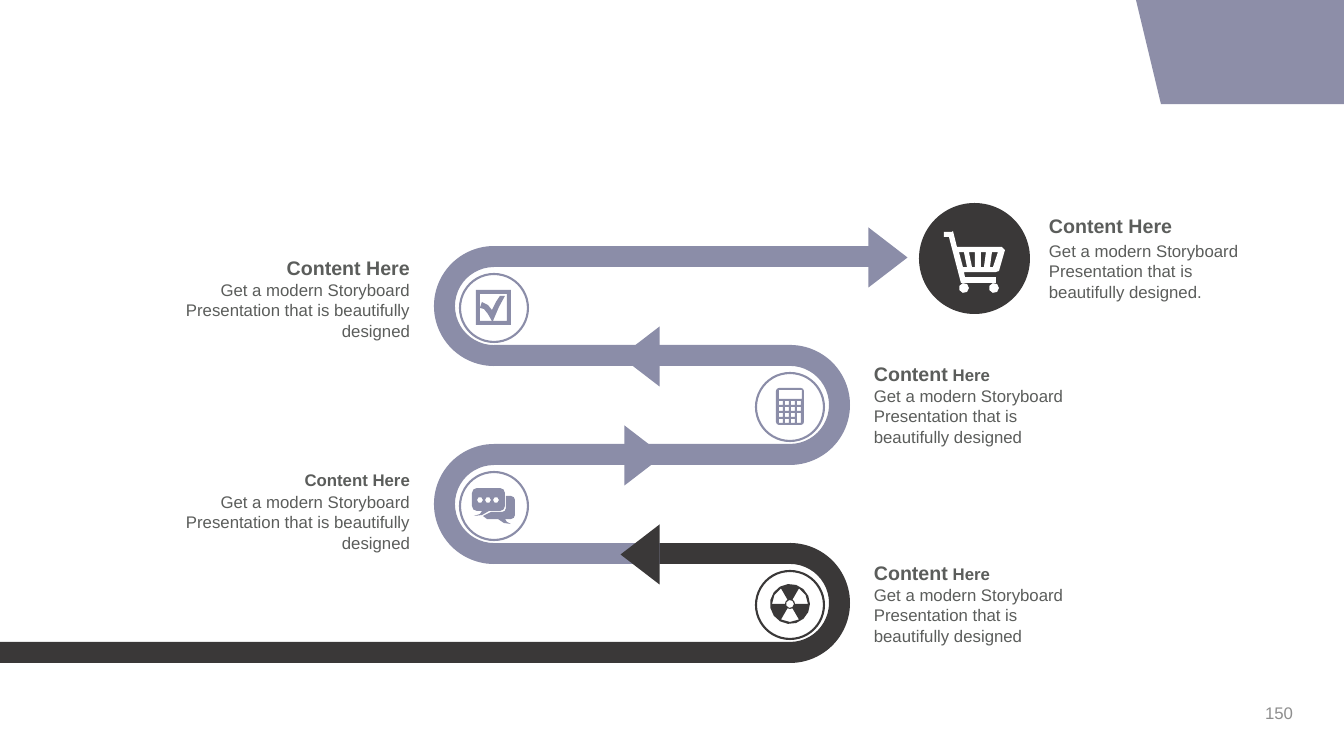
import math

import pptx
import pptx.dml.color
import pptx.enum.shapes
import pptx.enum.text
import pptx.util

PX = 914400 / 100.8
SHAPE = pptx.enum.shapes.MSO_SHAPE
ALIGN = pptx.enum.text.PP_ALIGN
ANCHOR = pptx.enum.text.MSO_ANCHOR
COLORS = {"corner": "8D8EA8", "purple": "8B8DA8", "dark": "3A3838",
          "text": "5B5D5B", "number": "8E8E8E", "white": "FFFFFF"}
BODY = "Get a modern Storyboard Presentation that is beautifully designed"
ROAD_TOP, ROW_PITCH, BAR, BEND = 246, 99, 21, 120
LEFT_END, RIGHT_END = 494, 790


def emu(n):
    return pptx.util.Emu(round(n * PX))


def rgb(name):
    return pptx.dml.color.RGBColor.from_string(COLORS[name])


def paint(sp, fill=None, line=None):
    sp.shadow.inherit = False
    if fill:
        sp.fill.solid()
        sp.fill.fore_color.rgb = rgb(fill)
    else:
        sp.fill.background()
    if line:
        sp.line.color.rgb = rgb(line)
        sp.line.width = pptx.util.Pt(1.5)
    else:
        sp.line.fill.background()


def add_preset(s, kind, x, y, w, h, fill=None, line=None):
    sp = s.shapes.add_shape(kind, emu(x), emu(y), emu(w), emu(h))
    paint(sp, fill, line)
    return sp


def add_outline(s, x, y, contours, fill):
    contours = [[(emu(x + a), emu(y + b)) for a, b in c] for c in contours]
    builder = s.shapes.build_freeform(*contours[0][0], scale=1.0)
    for i, points in enumerate(contours):
        if i:
            builder.move_to(*points[0])
        builder.add_line_segments(points[1:], close=True)
    paint(builder.convert_to_shape(), fill)


def arc(cx, cy, r, start, end):
    steps = max(2, round(abs(end - start) * math.sqrt(r) / 110))
    angles = [math.radians(start + (end - start) * i / steps) for i in range(steps + 1)]
    return [(cx + r * math.cos(a), cy + r * math.sin(a)) for a in angles]


def disc(cx, cy, r):
    return arc(cx, cy, r, 0, 360)[:-1]


def box(x, y, w, h):
    return [(x, y), (x + w, y), (x + w, y + h), (x, y + h)]


def rounded(x, y, w, h, r):
    return (arc(x + r, y + r, r, 180, 270) + arc(x + w - r, y + r, r, 270, 360)
            + arc(x + w - r, y + h - r, r, 0, 90) + arc(x + r, y + h - r, r, 90, 180))


def cart_icon(s, x, y, fill):
    slots = [[(48, 21), (46, 36), (49, 36), (54, 21)],
             [(37, 21), (37, 36), (40, 36), (42, 21)],
             [(25, 21), (28, 36), (31, 36), (31, 21)],
             [(15, 21), (19, 36), (23, 36), (20, 21)]]
    body = [(9, 0), (13, 16), (58, 16), (61, 19), (55, 40), (52, 41), (20, 41), (21, 46),
            (52, 46), (52, 52), (17, 52), (5, 6), (0, 6), (0, 1), (8, 1)]
    add_outline(s, x, y, [body, *slots, disc(20, 57, 5), disc(50, 57, 5)], fill)


def check_icon(s, x, y, fill):
    inside = [(4, 4), (4, 31), (16, 31), (12, 24), (8, 19), (4, 18), (6, 12), (12, 15),
              (16, 20), (20, 12), (24, 6), (29, 6), (23, 17), (17, 31), (31, 31), (31, 4)]
    add_outline(s, x, y, [box(0, 0, 35, 35), inside], fill)


def calculator_icon(s, x, y, fill):
    keys = [box(3 + 6 * col, 13 + 6 * row, 4, 10 if (row, col) == (2, 3) else 4)
            for row in range(4) for col in range(4) if (row, col) != (3, 3)]
    add_outline(s, x, y, [rounded(0, 0, 28, 37, 3), box(3, 2, 23, 9), *keys], fill)


def chat_icon(s, x, y, fill):
    front = (arc(5, 5, 5, 180, 270) + arc(28, 5, 5, 270, 360) + arc(28, 18, 5, 0, 90)
             + [(17, 23), (10, 27), (2, 28), (8, 26), (10, 23)] + arc(5, 18, 5, 90, 180))
    back = ([(34, 8)] + arc(39, 12, 4, 270, 360) + arc(39, 27, 4, 0, 90)
            + [(33, 31), (35, 34), (39, 36), (32, 35), (26, 31), (15, 31), (11, 28), (19, 24)]
            + arc(30, 20, 4, 90, 0))
    dots = [disc(8 + 8 * i, 12, 3) for i in range(3)]
    add_outline(s, x, y, [front, back, *dots], fill)


def radiation_icon(s, x, y, fill):
    gaps = [arc(20, 20, 18, a, a + 60) + arc(20, 20, 5, a + 60, a) for a in (60, 180, 300)]
    add_outline(s, x, y, [disc(20, 20, 20), disc(20, 20, 4), *gaps], fill)


def add_bend(s, cx, y, rotation, fill):
    sp = add_preset(s, SHAPE.BLOCK_ARC, cx - BEND // 2, y, BEND, BEND, fill)
    sp.adjustments[2] = BAR / BEND
    sp.rotation = rotation


def add_road(s):
    bars = [(0, LEFT_END, 875, "purple"), (1, LEFT_END, RIGHT_END, "purple"),
            (2, LEFT_END, RIGHT_END, "purple"), (3, LEFT_END, 660, "purple"),
            (3, 660, RIGHT_END, "dark"), (4, 0, RIGHT_END, "dark")]
    for row, x0, x1, fill in bars:
        add_preset(s, SHAPE.RECTANGLE, x0, ROAD_TOP + ROW_PITCH * row, x1 - x0, BAR, fill)
    stops = [(888, 90, "purple", check_icon, 16, 16),
             (640, 270, "purple", calculator_icon, 20, 15),
             (644, 90, "purple", chat_icon, 12, 16),
             (640, 270, "dark", radiation_icon, 14, 13)]
    for row, (tip_x, rotation, fill, icon, dx, dy) in enumerate(stops):
        top = ROAD_TOP + ROW_PITCH * row
        cx = RIGHT_END if row % 2 else LEFT_END
        add_bend(s, cx, top, 90 if row % 2 else 270, fill)
        head = add_preset(s, SHAPE.ISOSCELES_TRIANGLE, tip_x - 30, top - 8, 60, 39, fill)
        head.rotation = rotation
        x, y = cx - 34, top + 28
        add_preset(s, SHAPE.OVAL, x, y, 68, 68, line=fill)
        icon(s, x + dx, y + dy, fill)


def add_goal(s, x, y, size):
    add_preset(s, SHAPE.OVAL, x, y, size, size, "dark")
    cart_icon(s, x + 25, y + 28, "white")


def add_text(s, x, y, w, h, runs, align=ALIGN.LEFT, anchor=ANCHOR.TOP, bold=False, color="text"):
    tf = s.shapes.add_textbox(emu(x), emu(y), emu(w), emu(h)).text_frame
    tf.word_wrap = True
    tf.vertical_anchor = anchor
    p = tf.paragraphs[0]
    p.alignment = align
    p.font.name = "Arial"
    p.font.bold = bold
    p.font.color.rgb = rgb(color)
    for text, size in runs:
        r = p.add_run()
        r.text = text
        r.font.size = pptx.util.Pt(size)


def add_caption(s, x, y, w, heading, align=ALIGN.LEFT, body=BODY, gap=24):
    add_text(s, x, y, w, 34, heading, align, ANCHOR.MIDDLE, bold=True)
    add_text(s, x, y + gap, w, 72, [(body, 12)], align)


def build_slide(prs):
    s = prs.slides.add_slide(prs.slide_layouts[6])
    add_outline(s, 1136, 0, [[(0, 0), (208, 0), (208, 104), (25, 104)]], "corner")
    add_text(s, 1001, 701, 302, 24, [("150", 12)], ALIGN.RIGHT, ANCHOR.MIDDLE, color="number")
    add_road(s)
    add_goal(s, 919, 203, 111)
    large, small = [("Content Here", 14)], [("Content Here", 12)]
    mixed = [("Content", 14), (" Here", 12)]
    add_caption(s, 156, 251, 264, large, ALIGN.RIGHT)
    add_caption(s, 156, 463, 264, small, ALIGN.RIGHT)
    add_caption(s, 864, 357, 230, mixed)
    add_caption(s, 864, 556, 230, mixed)
    add_caption(s, 1039, 209, 236, large, body=BODY + ".", gap=27)


def main():
    prs = pptx.Presentation()
    prs.slide_width, prs.slide_height = emu(1344), emu(756)
    build_slide(prs)
    prs.save("out.pptx")


if __name__ == "__main__":
    main()
